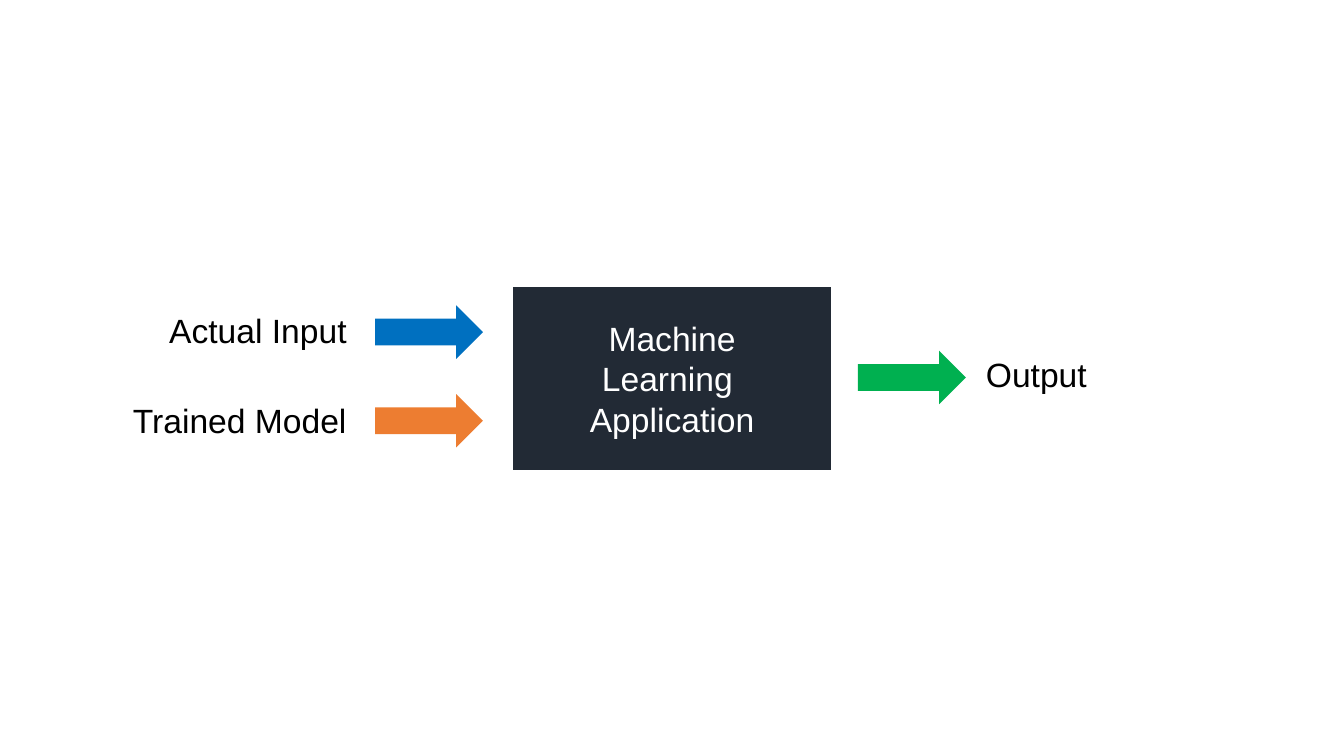
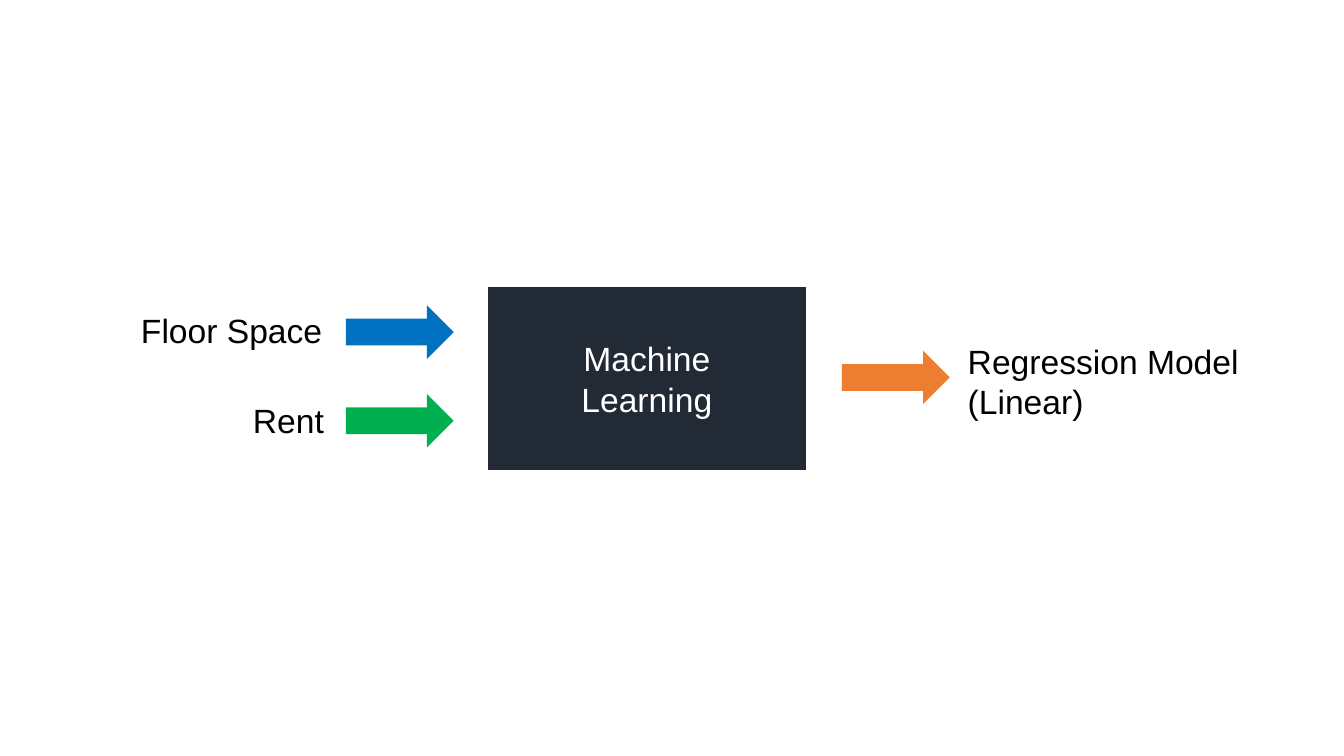
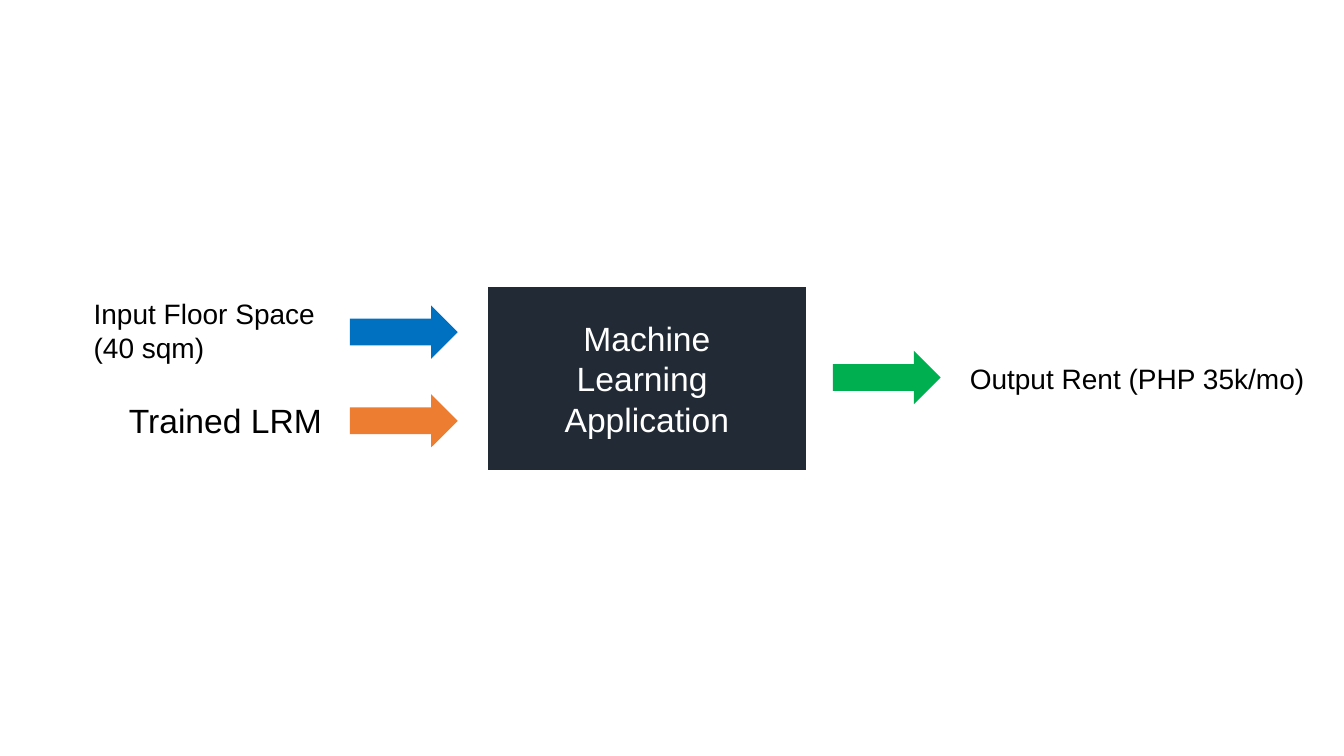
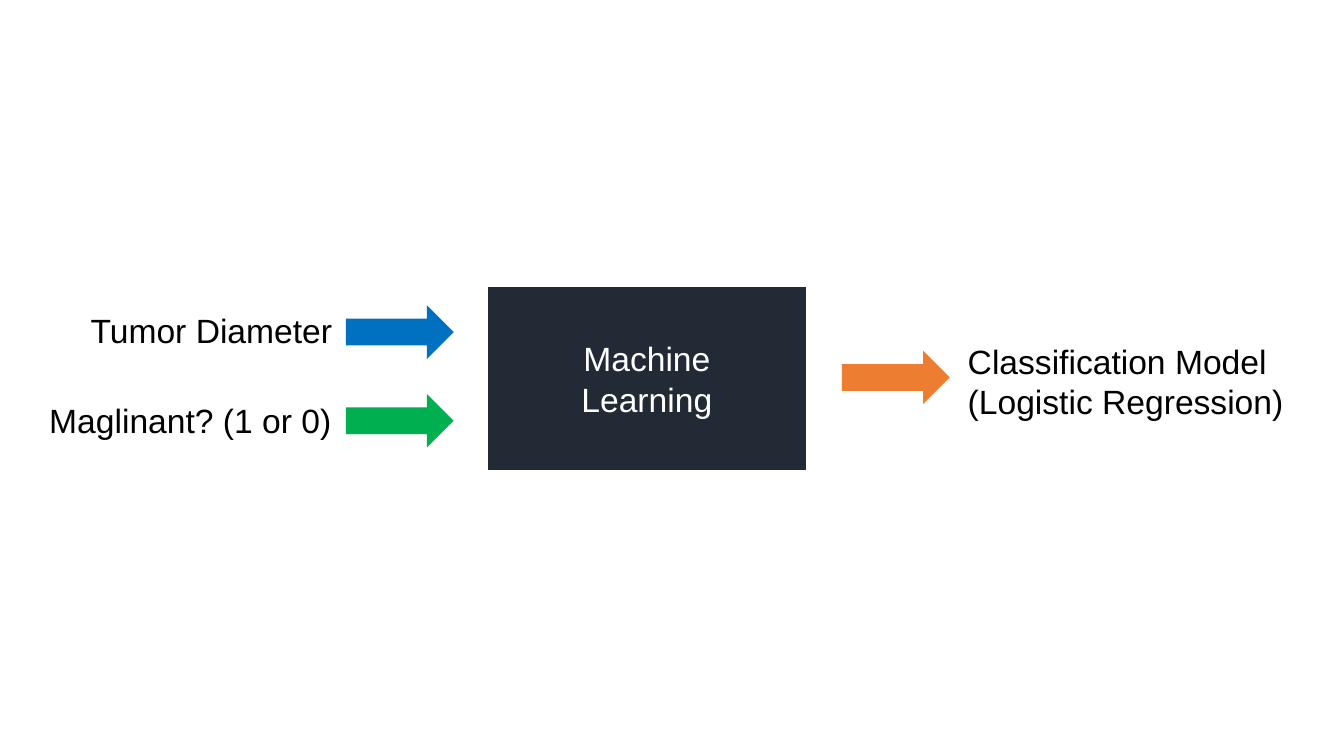
import dataclasses

import pptx
import pptx.dml.color
import pptx.enum.shapes
import pptx.enum.text
import pptx.util

UNIT = pptx.util.Inches(0.1)
FONT = "Arial"
BLACK, WHITE, NAVY = "000000", "FFFFFF", "222A35"
BLUE, ORANGE, GREEN = "0070C0", "ED7D31", "00B050"
BOX_TOP, BOX_WIDTH, BOX_HEIGHT = 28.5, 31.5, 18.1
ARROW_WIDTH, ARROW_HEIGHT = 10.7, 5.3
INPUT_ARROW_MIDDLES = (32.95, 41.75)
INPUT_LABEL_MIDDLES = (32.8, 41.7)
OUTPUT_ARROW_MIDDLE = 37.45


@dataclasses.dataclass
class Label:
    text: str
    width: float
    size: int = 24


@dataclasses.dataclass
class Stage:
    text: str
    input_colors: tuple
    output_color: str
    input_gap: float
    output_gap: float


TRAINING = Stage("Machine\nLearning", (BLUE, GREEN), ORANGE, 3.4, 3.6)
APPLICATION = Stage("Machine\nLearning \nApplication", (BLUE, ORANGE), GREEN, 3, 2.7)


def color(value):
    return pptx.dml.color.RGBColor.from_string(value)


def place(left, top, width, height):
    return [round(length * UNIT) for length in (left, top, width, height)]


def write(text_frame, text, size, text_color, alignment):
    text_frame.word_wrap = False
    text_frame.text = text
    for paragraph in text_frame.paragraphs:
        paragraph.alignment = alignment
        paragraph.font.name = FONT
        paragraph.font.size = pptx.util.Pt(size)
        paragraph.font.color.rgb = color(text_color)


def add_filled_shape(slide, kind, left, top, width, height, fill):
    shape = slide.shapes.add_shape(kind, *place(left, top, width, height))
    shape.shadow.inherit = False
    shape.fill.solid()
    shape.fill.fore_color.rgb = color(fill)
    shape.line.fill.background()
    return shape


def add_arrow(slide, left, middle, fill):
    add_filled_shape(slide, pptx.enum.shapes.MSO_SHAPE.RIGHT_ARROW, left,
                     middle - ARROW_HEIGHT / 2, ARROW_WIDTH, ARROW_HEIGHT, fill)


def add_process(slide, left, text):
    shape = add_filled_shape(slide, pptx.enum.shapes.MSO_SHAPE.FLOWCHART_PROCESS,
                             left, BOX_TOP, BOX_WIDTH, BOX_HEIGHT, NAVY)
    shape.text_frame.vertical_anchor = pptx.enum.text.MSO_ANCHOR.MIDDLE
    write(shape.text_frame, text, 24, WHITE, pptx.enum.text.PP_ALIGN.CENTER)


def add_label(slide, label, left, middle):
    line_count = label.text.count("\n") + 1
    height = 1 + line_count * label.size / 6
    box = slide.shapes.add_textbox(*place(left, middle - height / 2, label.width, height))
    write(box.text_frame, label.text, label.size, BLACK, pptx.enum.text.PP_ALIGN.LEFT)
    box.text_frame.auto_size = pptx.enum.text.MSO_AUTO_SIZE.SHAPE_TO_FIT_TEXT


def add_diagram(presentation, stage, box_left, inputs, input_right,
                output, output_left, output_middle):
    slide = presentation.slides.add_slide(presentation.slide_layouts[6])
    add_process(slide, box_left, stage.text)
    arrow_left = box_left - stage.input_gap - ARROW_WIDTH
    for label, label_middle, arrow_middle, fill in zip(
            inputs, INPUT_LABEL_MIDDLES, INPUT_ARROW_MIDDLES, stage.input_colors):
        add_label(slide, label, input_right - label.width, label_middle)
        add_arrow(slide, arrow_left, arrow_middle, fill)
    add_arrow(slide, box_left + BOX_WIDTH + stage.output_gap,
              OUTPUT_ARROW_MIDDLE, stage.output_color)
    add_label(slide, output, output_left, output_middle)


def main():
    presentation = pptx.Presentation()
    presentation.slide_width = pptx.util.Inches(13.33)
    presentation.slide_height = pptx.util.Inches(7.5)
    add_diagram(presentation, APPLICATION, 50.9,
                (Label("Actual Input", 19.8), Label("Trained Model", 23.4)), 35.6,
                Label("Output", 12.1), 96.8, 37.1)
    add_diagram(presentation, TRAINING, 48.4,
                (Label("Floor Space", 20.2), Label("Rent", 9.1)), 33.2,
                Label("Regression Model\n(Linear)", 29.6), 95, 37.8)
    add_diagram(presentation, APPLICATION, 48.4,
                (Label("Input Floor Space\n(40 sqm)", 24.9, 20),
                 Label("Trained LRM", 21.4)), 33.2,
                Label("Output Rent (PHP 35k/mo)", 35.4, 20), 95.2, 37.5)
    add_diagram(presentation, TRAINING, 48.4,
                (Label("Tumor Diameter", 26.2), Label("Maglinant? (1 or 0)", 30.3)), 34.2,
                Label("Classification Model\n(Logistic Regression)", 34.3), 95, 37.8)
    presentation.save("out.pptx")


if __name__ == "__main__":
    main()
